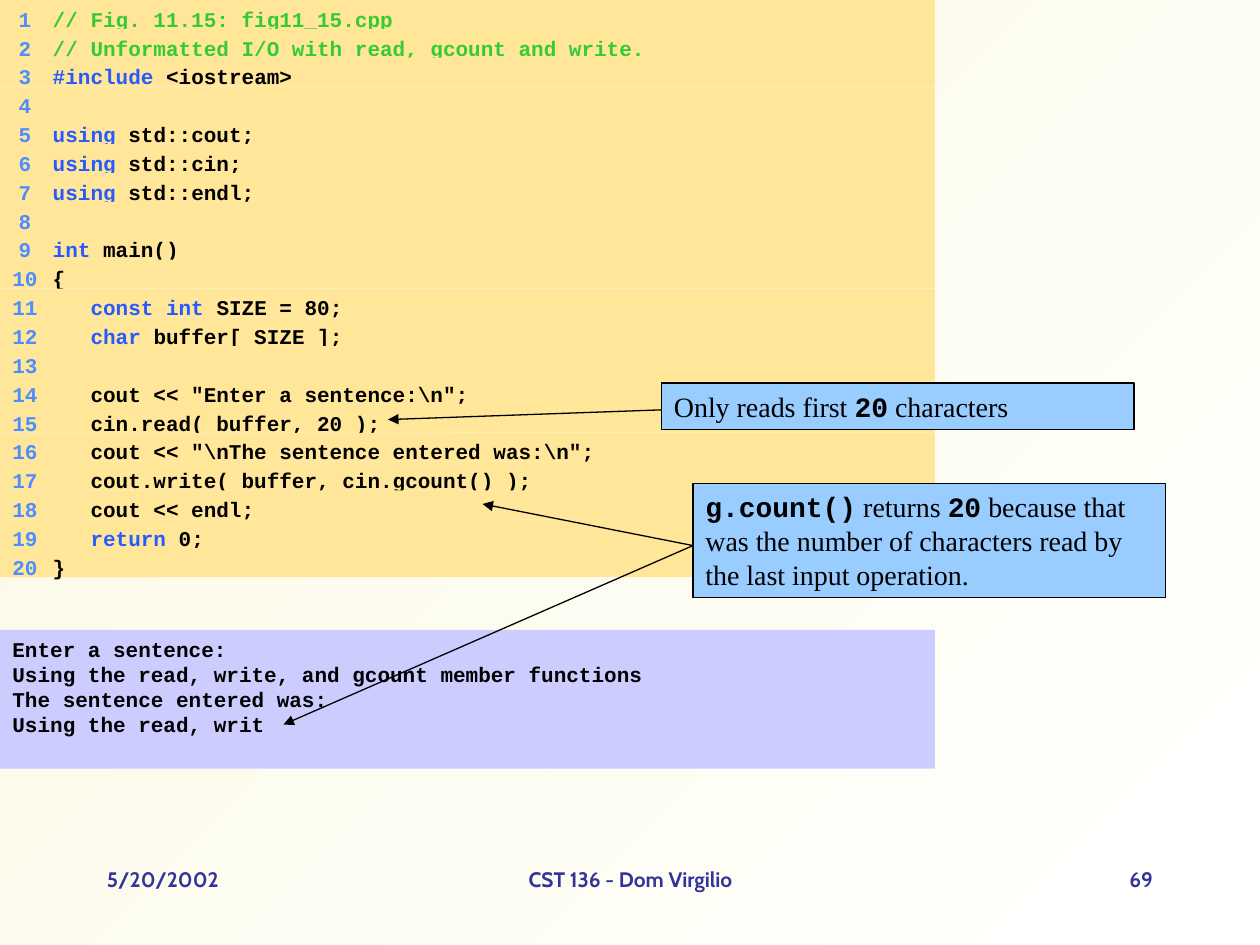
"""Build the slide on unformatted I/O with read, gcount and write."""
from lxml import etree
from pptx import Presentation
from pptx.dml.color import RGBColor
from pptx.enum.shapes import MSO_CONNECTOR, MSO_SHAPE
from pptx.enum.text import MSO_ANCHOR, MSO_AUTO_SIZE, PP_ALIGN
from pptx.oxml.ns import qn
from pptx.util import Inches, Pt

RECTANGLE = MSO_SHAPE.RECTANGLE
STRAIGHT = MSO_CONNECTOR.STRAIGHT
TOP = MSO_ANCHOR.TOP
GROW = MSO_AUTO_SIZE.SHAPE_TO_FIT_TEXT
LEFT, CENTER, RIGHT = PP_ALIGN.LEFT, PP_ALIGN.CENTER, PP_ALIGN.RIGHT

BLACK = RGBColor(0x00, 0x00, 0x00)
WHITE = RGBColor(0xFF, 0xFF, 0xFF)
CREAM = RGBColor(0xFB, 0xF8, 0xE1)
CODE_FILL = RGBColor(0xFF, 0xE6, 0x99)
OUTPUT_FILL = RGBColor(0xCC, 0xCC, 0xFF)
CALLOUT_FILL = RGBColor(0x99, 0xCC, 0xFF)
NUMBER = RGBColor(0x4D, 0x8D, 0xFF)
KEYWORD = RGBColor(0x27, 0x5A, 0xFF)
COMMENT = RGBColor(0x33, 0xCC, 0x33)
FOOTER = RGBColor(0x33, 0x33, 0x99)

MONO, SERIF, SANS = "Courier New", "Times New Roman", "Cabin"
PANEL_WIDTH = Inches(7.42)
CODE_HEIGHT = Inches(4.58)
CODE_TABS = [(0, "l"), (0.15, "r"), (0.32, "l")] + [(inch, "l") for inch in range(1, 6)]

CODE = [
    [("// Fig. 11.15: fig11_15.cpp", COMMENT)],
    [("// Unformatted I/O with read, gcount and write.", COMMENT)],
    [("#include", KEYWORD), (" <iostream>", BLACK)],
    [],
    [("using", KEYWORD), (" std::cout;", BLACK)],
    [("using", KEYWORD), (" std::cin;", BLACK)],
    [("using", KEYWORD), (" std::endl;", BLACK)],
    [],
    [("int", KEYWORD), (" main()", BLACK)],
    [("{", BLACK)],
    [("   const int", KEYWORD), (" SIZE = 80;", BLACK)],
    [("   char", KEYWORD), (" buffer[ SIZE ];", BLACK)],
    [],
    [('   cout << "Enter a sentence:\\n";', BLACK)],
    [("   cin.read( buffer, 20 );", BLACK)],
    [('   cout << "\\nThe sentence entered was:\\n";', BLACK)],
    [("   cout.write( buffer, cin.gcount() );", BLACK)],
    [("   cout << endl;", BLACK)],
    [("   return", KEYWORD), (" 0;", BLACK)],
    [("}", BLACK)],
]
OUTPUT = [
    "Enter a sentence:",
    "Using the read, write, and gcount member functions",
    "The sentence entered was:",
    "Using the read, writ",
]
READ_NOTE = [("Only reads first ", SERIF), ("20", MONO), (" characters", SERIF)]
GCOUNT_NOTE = [
    ("g.count()", MONO),
    (" returns ", SERIF),
    ("20", MONO),
    (" because that was the number of characters read by the last input operation.", SERIF),
]


def paint_background(slide):
    """Fill the slide with a diagonal gradient."""
    fill = slide.background.fill
    fill.gradient()
    fill.gradient_angle = 135
    for stop, position, color in zip(fill.gradient_stops, (0, 1), (WHITE, CREAM)):
        stop.position = position
        stop.color.rgb = color


def add_run(paragraph, text, font_name, size, color, bold=True):
    """Append one formatted run."""
    run = paragraph.add_run()
    run.text = text
    run.font.name = font_name
    run.font.size = Pt(size)
    run.font.bold = bold
    run.font.color.rgb = color


def add_tabs(paragraph, stops):
    """Give the paragraph its tab stops."""
    tabs = etree.SubElement(paragraph._p.get_or_add_pPr(), qn("a:tabLst"))
    for position, alignment in stops:
        etree.SubElement(tabs, qn("a:tab"), pos=str(Inches(position)), algn=alignment)


def add_panel(slide, left, top, width, height, color):
    """Add a filled rectangle and return it ready for text."""
    panel = slide.shapes.add_shape(RECTANGLE, left, top, width, height)
    panel.shadow.inherit = False
    panel.fill.solid()
    panel.fill.fore_color.rgb = color
    panel.line.fill.background()
    panel.text_frame.word_wrap = True
    panel.text_frame.vertical_anchor = TOP
    panel.text_frame.paragraphs[0].alignment = LEFT
    return panel


def add_code(slide):
    """Add the numbered listing, one strip per line."""
    pitch = CODE_HEIGHT / len(CODE)
    for index, tokens in enumerate(CODE):
        strip = add_panel(slide, 0, round(index * pitch), PANEL_WIDTH, round(pitch), CODE_FILL)
        code_line = strip.text_frame.paragraphs[0]
        add_tabs(code_line, CODE_TABS)
        add_run(code_line, f"\t{index + 1}\t", MONO, 12, NUMBER)
        for text, color in tokens:
            add_run(code_line, text, MONO, 12, color)


def add_output(slide):
    """Add the panel with the program output."""
    frame = add_panel(slide, 0, Inches(5), PANEL_WIDTH, Inches(1.1), OUTPUT_FILL).text_frame
    for index, text in enumerate(OUTPUT):
        output_line = frame.add_paragraph() if index else frame.paragraphs[0]
        output_line.alignment = LEFT
        add_run(output_line, text, MONO, 12, BLACK)


def add_callout(slide, left, top, height, note):
    """Add an outlined explanation box."""
    callout = add_panel(slide, Inches(left), Inches(top), Inches(3.75), Inches(height), CALLOUT_FILL)
    callout.line.color.rgb = BLACK
    callout.line.width = Pt(0.75)
    callout.text_frame.auto_size = GROW
    for text, font_name in note:
        add_run(callout.text_frame.paragraphs[0], text, font_name, 16, BLACK, font_name == MONO)


def add_arrow(slide, start, end):
    """Add a thin line with an arrowhead at its end."""
    arrow = slide.shapes.add_connector(STRAIGHT, *map(Inches, start + end))
    arrow.line.color.rgb = BLACK
    arrow.line.width = Pt(0.75)
    etree.SubElement(arrow.line._get_or_add_ln(), qn("a:tailEnd"), type="triangle")
    etree.SubElement(arrow._element.spPr, qn("a:effectLst"))


def add_footer(slide, left, width, text, alignment):
    """Add one footer field."""
    field = slide.shapes.add_textbox(Inches(left), Inches(6.83), Inches(width), Inches(0.5))
    field.text_frame.word_wrap = True
    paragraph = field.text_frame.paragraphs[0]
    paragraph.alignment = alignment
    add_run(paragraph, text, SANS, 12, FOOTER)


def main():
    """Build and save the slide."""
    presentation = Presentation()
    presentation.slide_width, presentation.slide_height = Inches(10), Inches(7.5)
    slide = presentation.slides.add_slide(presentation.slide_layouts[6])
    paint_background(slide)
    add_code(slide)
    add_output(slide)
    add_arrow(slide, (5.33, 3.25), (3.08, 3.33))
    add_callout(slide, 5.25, 3.04, 0.37, READ_NOTE)
    add_callout(slide, 5.5, 3.84, 0.9, GCOUNT_NOTE)
    for target in ((3.83, 4), (2.25, 5.75)):
        add_arrow(slide, (5.5, 4.33), target)
    add_footer(slide, 3.42, 3.17, "CST 136 - Dom Virgilio", CENTER)
    add_footer(slide, 7.17, 2.08, "69", RIGHT)
    add_footer(slide, 0.75, 2.08, "5/20/2002", LEFT)
    presentation.save("out.pptx")


if __name__ == "__main__":
    main()
